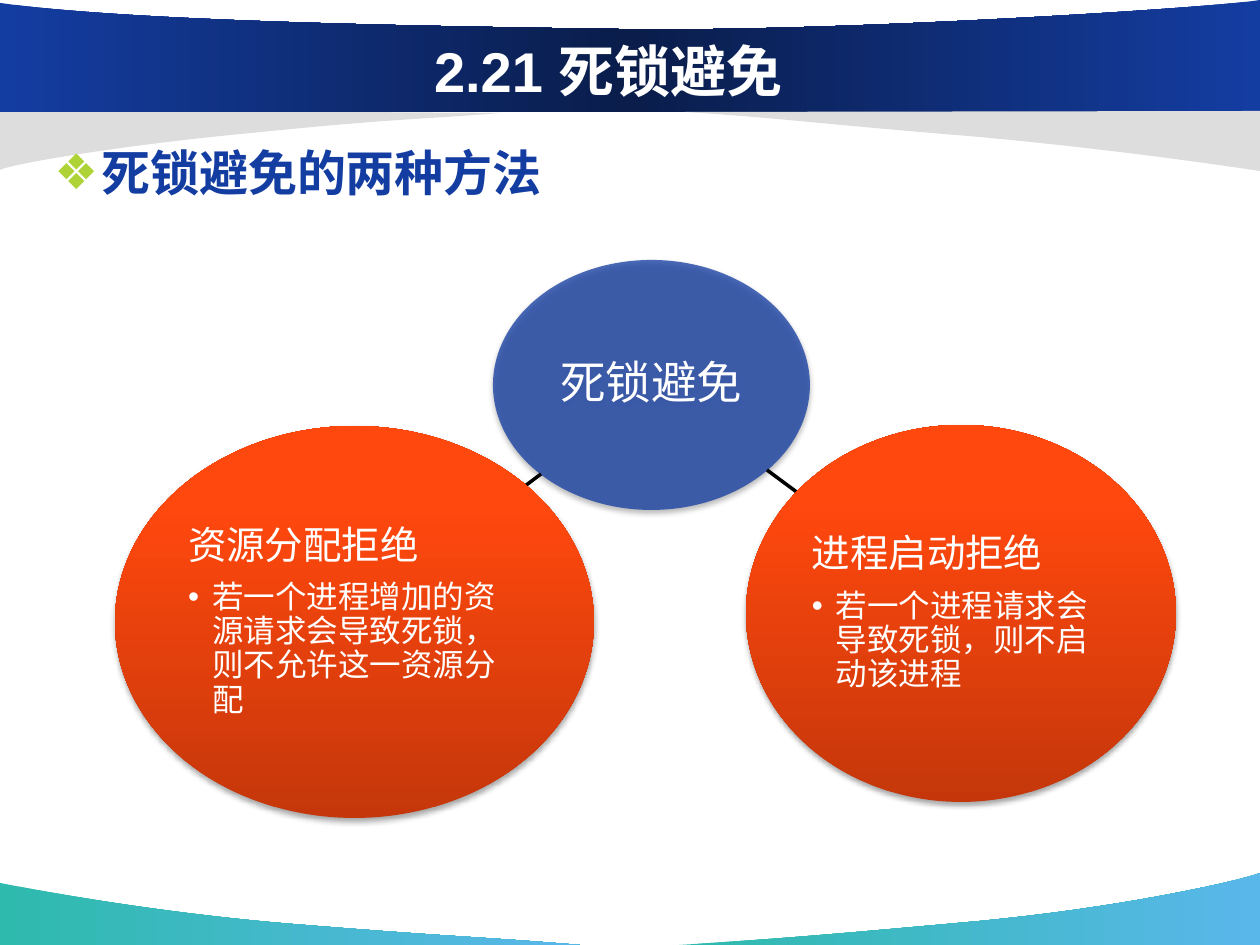
import pptx
import pptx.util
import pptx.dml.color
import pptx.enum.shapes
import pptx.enum.text
import pptx.oxml.ns
from lxml import etree

RGB = pptx.dml.color.RGBColor
ALIGN = pptx.enum.text.PP_ALIGN
ANCHOR = pptx.enum.text.MSO_ANCHOR
qn = pptx.oxml.ns.qn
Pt = pptx.util.Pt

PX_PER_INCH = 126
FONT = "Arial"
WHITE = RGB(0xFF, 0xFF, 0xFF)
BLACK = RGB(0x00, 0x00, 0x00)
NAVY = RGB(0x14, 0x3D, 0xA2)
DARK_NAVY = RGB(0x0A, 0x1D, 0x4B)
GREY = RGB(0xDD, 0xDD, 0xDD)
TEAL = RGB(0x2E, 0xBA, 0xAD)
SKY = RGB(0x5A, 0xB7, 0xEA)
LIME = RGB(0xAE, 0xD3, 0x37)
RUST = RGB(0xC5, 0x37, 0x0B)
ORANGE = RGB(0xFF, 0x48, 0x0E)
BRIGHT_ORANGE = RGB(0xFF, 0x49, 0x10)

# Content
TITLE = "2.21 死锁避免"
HEADING = "死锁避免的两种方法"
CENTRE = ((493, 260, 317, 250), "死锁避免")
METHODS = [
    # ellipse, heading, explanation, link to the centre
    ((746, 425, 430, 377), "进程启动拒绝",
     "若一个进程请求会导致死锁，则不启动该进程", (767, 470, 798, 493)),
    ((115, 426, 479, 392), "资源分配拒绝",
     "若一个进程增加的资源请求会导致死锁，则不允许这一资源分配", (541, 474, 525, 486)),
]

BANNER = [(0, NAVY), (50, DARK_NAVY), (100, NAVY)]
WAVE = [(0, TEAL), (100, SKY)]
ORANGE_FADE = [(0, RUST), (80, ORANGE), (100, BRIGHT_ORANGE)]

# Bands: start point, then lines (one point) and Bezier curves (three points), fill
BANDS = [
    ((580, 945), [[(484, 937), (451, 937), (292, 924)],
                  [(134, 911), (1, 883), (0, 883)], [(0, 945)]], WAVE),
    ((679, 945), [[(774, 939), (814, 936), (969, 922)],
                  [(1124, 908), (1247, 879), (1260, 873)], [(1260, 945)]], WAVE),
    ((501, 113), [[(417, 120), (401, 118), (262, 132)],
                  [(122, 145), (11, 164), (0, 170)], [(0, 110)]], GREY),
    ((0, 112), [[(1260, 112)], [(1260, 0)], [(1215, 8), (823, 33), (614, 29)],
                [(404, 26), (127, 21), (0, 3)]], BANNER),
    ((685, 112), [[(781, 118), (809, 123), (968, 136)],
                  [(1126, 150), (1259, 171), (1260, 171)], [(1260, 111)]], GREY),
]


def px(value):
    return pptx.util.Emu(round(value * 914400 / PX_PER_INCH))


def paint(shape, fill, angle=0):
    """Fill with one colour or with (position, colour) stops; no outline."""
    shape.line.fill.background()
    shape.shadow.inherit = False
    if isinstance(fill, RGB):
        shape.fill.solid()
        shape.fill.fore_color.rgb = fill
        return
    shape.fill.gradient()
    shape.fill.gradient_angle = angle
    stops = shape._element.spPr.find(".//" + qn("a:gsLst"))
    for stop in list(stops):
        stops.remove(stop)
    for position, colour in fill:
        stop = etree.SubElement(stops, qn("a:gs"), pos=str(position * 1000))
        etree.SubElement(stop, qn("a:srgbClr"), val=str(colour))


def add_band(start, segments, fill):
    builder = slide.shapes.build_freeform(px(start[0]), px(start[1]))
    builder.add_line_segments([(px(x), px(y)) for segment in segments for x, y in segment])
    band = builder.convert_to_shape()
    # Merge the three points of each curve into one Bezier segment
    lines = iter(band._element.spPr.findall(".//" + qn("a:lnTo")))
    for segment in segments:
        parts = [next(lines) for _ in segment]
        if len(parts) == 3:
            curve = etree.Element(qn("a:cubicBezTo"))
            parts[0].addprevious(curve)
            for part in parts:
                curve.append(part[0])
                part.getparent().remove(part)
    paint(band, fill)


def add_bullet(paragraph, character, indent, colour):
    properties = paragraph._p.get_or_add_pPr()
    properties.set("marL", str(px(indent)))
    properties.set("indent", str(-px(indent)))
    bullet_colour = etree.SubElement(properties, qn("a:buClr"))
    etree.SubElement(bullet_colour, qn("a:srgbClr"), val=str(colour))
    etree.SubElement(properties, qn("a:buFont"), typeface=FONT)
    etree.SubElement(properties, qn("a:buChar"), char=character)


def write(paragraph, text, size, colour=WHITE, bold=False, align=ALIGN.LEFT, spacing=0.9):
    paragraph.text = text
    paragraph.alignment = align
    paragraph.line_spacing = spacing
    for run in paragraph.runs:
        run.font.name = FONT
        run.font.size = Pt(size)
        run.font.bold = bold
        run.font.color.rgb = colour


def add_ellipse(box, fill):
    ellipse = slide.shapes.add_shape(pptx.enum.shapes.MSO_SHAPE.OVAL, *map(px, box))
    paint(ellipse, fill, angle=90)
    effects = ellipse._element.spPr.find(qn("a:effectLst"))
    shadow = etree.SubElement(effects, qn("a:outerShdw"), blurRad=str(Pt(3.1)),
                              dist=str(Pt(1.8)), dir="5400000", rotWithShape="0")
    colour = etree.SubElement(shadow, qn("a:srgbClr"), val=str(BLACK))
    etree.SubElement(colour, qn("a:alpha"), val="35000")
    frame = ellipse.text_frame
    frame.word_wrap = True
    frame.vertical_anchor = ANCHOR.MIDDLE
    frame.margin_left = frame.margin_right = frame.margin_top = frame.margin_bottom = px(3)
    return ellipse


presentation = pptx.Presentation()
presentation.slide_width, presentation.slide_height = px(1260), px(945)
slide = presentation.slides.add_slide(presentation.slide_layouts[5])

# Background bands
for band in BANDS:
    add_band(*band)

# Title, brought in front of the banner
title = slide.shapes.title
title.left, title.top, title.width, title.height = map(px, (115, 31, 987, 78))
title.text_frame.vertical_anchor = ANCHOR.MIDDLE
write(title.text_frame.paragraphs[0], TITLE, 32, bold=True, align=ALIGN.CENTER, spacing=1.0)
slide.shapes._spTree.append(title._element)

# Heading
heading = slide.shapes.add_textbox(*map(px, (42, 125, 1134, 100)))
heading.text_frame.word_wrap = True
paragraph = heading.text_frame.paragraphs[0]
add_bullet(paragraph, "❖", 47, LIME)
write(paragraph, HEADING, 28, NAVY, bold=True, spacing=1.2)

# Central ellipse
box, text = CENTRE
centre = add_ellipse(box, NAVY)
solid_colour = centre._element.spPr.find(qn("a:solidFill"))[0]
etree.SubElement(solid_colour, qn("a:alpha"), val="76000")
write(centre.text_frame.paragraphs[0], text, 26, align=ALIGN.CENTER)

# The two methods, each linked to the centre
for box, name, explanation, link in METHODS:
    connector = slide.shapes.add_connector(pptx.enum.shapes.MSO_CONNECTOR.STRAIGHT,
                                           *map(px, link))
    connector.line.color.rgb = BLACK
    connector.line.width = Pt(2)
    etree.SubElement(connector._element.spPr, qn("a:effectLst"))

    frame = add_ellipse(box, ORANGE_FADE).text_frame
    write(frame.paragraphs[0], name, 22)
    frame.paragraphs[0].space_after = Pt(8)
    detail = frame.add_paragraph()
    detail.level = 1
    add_bullet(detail, "•", 24, WHITE)
    write(detail, explanation, 18)

presentation.save("out.pptx")
